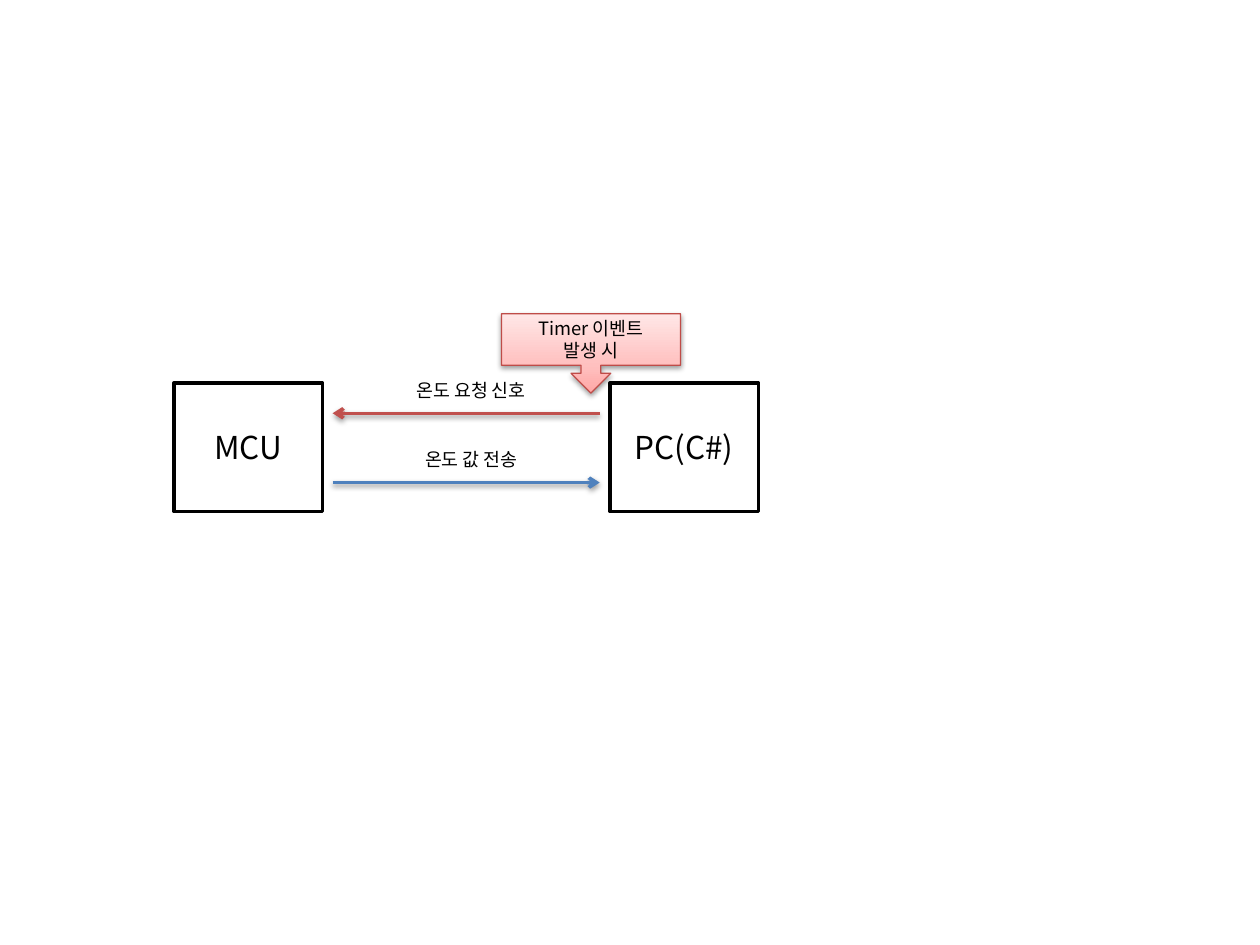
from lxml.etree import SubElement
from pptx import Presentation
from pptx.dml.color import RGBColor
from pptx.enum.shapes import MSO_CONNECTOR, MSO_SHAPE
from pptx.enum.text import MSO_ANCHOR, PP_ALIGN
from pptx.oxml.ns import qn
from pptx.util import Inches, Pt

FONT = "Noto Sans CJK KR"
WIDE, HIGH = 10, 7.5
LEFT, RIGHT, TOP = 0.138, 0.484, 3.04 / HIGH
BOX = (0.118, 1.02 / HIGH)
LABEL = (0.126, 0.28 / HIGH)
GAP = 0.008


def color(text):
    return RGBColor.from_string(text)


def place(x, y, w, h):
    return [Inches(round(v, 2)) for v in (x * WIDE, y * HIGH, w * WIDE, h * HIGH)]


def add(node, tag, **attrs):
    return SubElement(node, qn(tag), attrs)


def write(shape, text, size, anchor):
    frame = shape.text_frame
    frame.word_wrap = True
    frame.vertical_anchor = anchor
    frame.text = text
    for para in frame.paragraphs:
        para.alignment = PP_ALIGN.CENTER
        font = para.font
        font.size = Pt(size)
        font.name = FONT
        font.color.rgb = color("000000")
        add(para._p.pPr.find(qn("a:defRPr")), "a:ea", typeface=FONT)
        for run in para.runs:
            add(run._r.get_or_add_rPr(), "a:ea", typeface=FONT)


def stroke(shape, tint, width):
    shape.line.color.rgb = color(tint)
    shape.line.width = Pt(width)


def shade(props):
    effects = props.find(qn("a:effectLst"))
    if effects is None:
        effects = add(props, "a:effectLst")
    outer = add(effects, "a:outerShdw", blurRad=str(Pt(3.1)), dist=str(Pt(1.6)),
                dir="5400000", rotWithShape="0")
    tint = add(outer, "a:srgbClr", val="000000")
    add(tint, "a:alpha", val="38000")


def blend(shape, stops):
    shape.fill.gradient()
    grad = shape._element.spPr.find(qn("a:gradFill"))
    for child in list(grad):
        grad.remove(child)
    group = add(grad, "a:gsLst")
    for pos, tint in stops:
        add(add(group, "a:gs", pos=str(pos * 1000)), "a:srgbClr", val=tint)
    add(grad, "a:lin", ang="16200000", scaled="1")


def add_box(slide, x, text):
    box = slide.shapes.add_shape(MSO_SHAPE.RECTANGLE, *place(x, TOP, *BOX))
    box.shadow.inherit = False
    box.fill.solid()
    box.fill.fore_color.rgb = color("FFFFFF")
    stroke(box, "000000", 2)
    write(box, text, 18, MSO_ANCHOR.MIDDLE)


def add_signal(slide, start, end, y, tint, text):
    x1, top, x2, _ = place(start, y, end, y)
    arrow = slide.shapes.add_connector(MSO_CONNECTOR.STRAIGHT, x1, top, x2, top)
    stroke(arrow, tint, 2)
    add(arrow.line._get_or_add_ln(), "a:tailEnd", type="arrow")
    shade(arrow._element.spPr)
    x = (start + end) / 2 - LABEL[0] / 2 + 0.004
    label = slide.shapes.add_textbox(*place(x, y - 0.32 / HIGH, *LABEL))
    write(label, text, 10.5, MSO_ANCHOR.TOP)


def add_callout(slide, text):
    note = slide.shapes.add_shape(
        MSO_SHAPE.DOWN_ARROW_CALLOUT, *place(0.398, 2.49 / HIGH, 0.142, 0.63 / HIGH))
    note.shadow.inherit = False
    blend(note, [(0, "FFA6A5"), (35, "FFC0BF"), (100, "FFE7E7")])
    stroke(note, "BF4C48", 0.75)
    shade(note._element.spPr)
    write(note, text, 10.5, MSO_ANCHOR.MIDDLE)


def main():
    deck = Presentation()
    deck.slide_width, deck.slide_height = Inches(WIDE), Inches(HIGH)
    slide = deck.slides.add_slide(deck.slide_layouts[6])
    add_box(slide, LEFT, "MCU")
    add_box(slide, RIGHT, "PC(C#)")
    near, far = LEFT + BOX[0] + GAP, RIGHT - GAP
    add_signal(slide, far, near, 3.28 / HIGH, "C0504D", "온도 요청 신호")
    add_signal(slide, near, far, 3.83 / HIGH, "4F81BD", "온도 값 전송")
    add_callout(slide, "Timer 이벤트\n발생 시")
    deck.save("out.pptx")


main()
